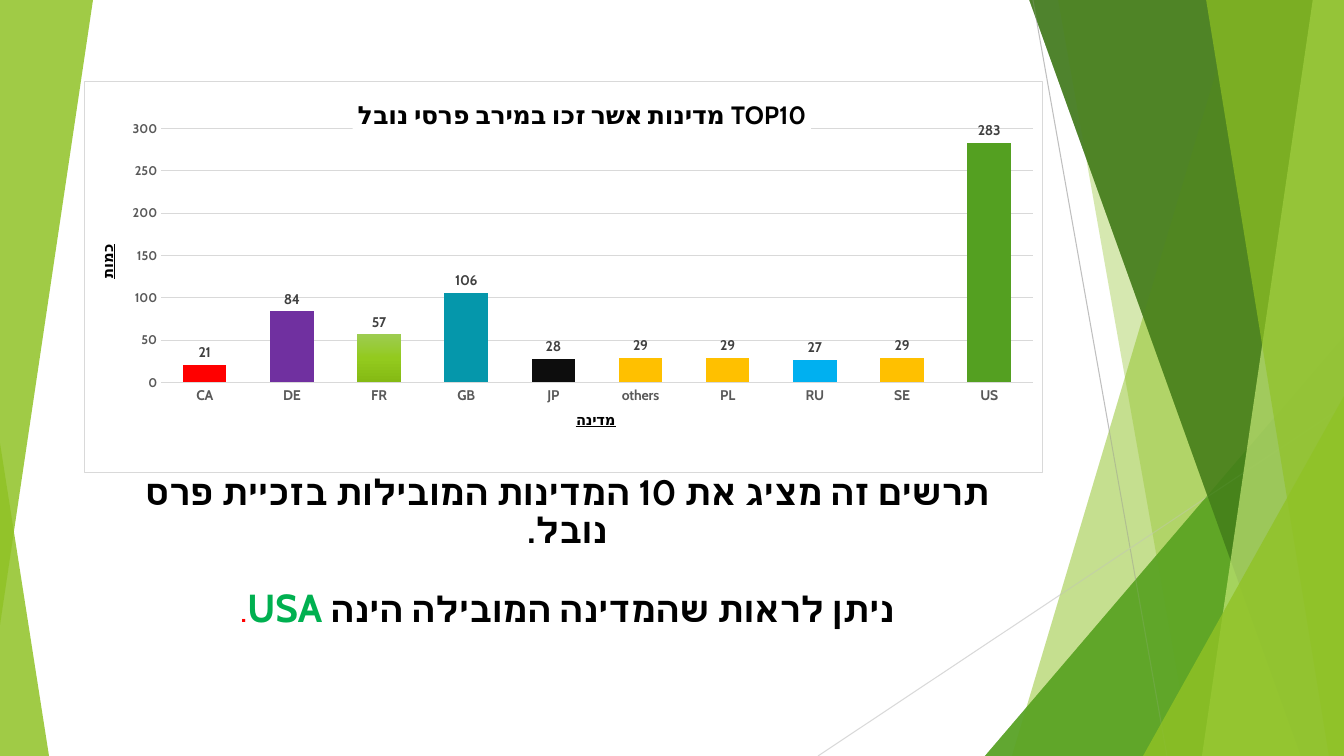
from dataclasses import dataclass

from lxml.etree import SubElement
from pptx import Presentation
from pptx.chart.data import CategoryChartData
from pptx.dml.color import RGBColor
from pptx.enum.chart import XL_CHART_TYPE as ChartType
from pptx.enum.chart import XL_LABEL_POSITION as LabelPosition
from pptx.enum.chart import XL_TICK_MARK as TickMark
from pptx.enum.shapes import MSO_CONNECTOR as Connector
from pptx.enum.shapes import MSO_SHAPE as Shape
from pptx.enum.text import MSO_ANCHOR as Anchor
from pptx.enum.text import MSO_AUTO_SIZE as AutoSize
from pptx.enum.text import PP_ALIGN as Align
from pptx.oxml import parse_xml
from pptx.oxml.ns import nsdecls, qn
from pptx.util import Pt

EMU_PER_PX = 914400 / 100.8
WIDTH, HEIGHT = 1344, 756


@dataclass(frozen=True)
class Theme:
    font: str = "Cabin"
    black: str = "000000"
    white: str = "FFFFFF"
    red: str = "FF0000"
    usa: str = "00B050"
    lime: str = "90C226"
    green: str = "54A021"
    forest: str = "3F7819"
    pale: str = "C0E474"
    amber: str = "FFC000"
    grid: str = "D9D9D9"
    line: str = "BFBFBF"
    axis_text: str = "595959"
    label_text: str = "404040"
    body_size: float = 25.2
    usa_size: float = 27.9
    chart_title_size: float = 18
    axis_title_size: float = 10.5
    label_size: float = 10
    value_size: float = 9


THEME = Theme()
BAR_GRADIENT = [(0, "9DCC51"), (50, "93CA1E"), (100, "85BA14")]

# Country, prizes, bar colour (None keeps the series gradient)
COUNTRIES = [
    ("CA", 21, THEME.red), ("DE", 84, "7030A0"), ("FR", 57, None),
    ("GB", 106, "0597AB"), ("JP", 28, "0D0D0D"), ("others", 29, THEME.amber),
    ("PL", 29, THEME.amber), ("RU", 27, "00B0F0"), ("SE", 29, THEME.amber),
    ("US", 283, THEME.green),
]


def px(length):
    return round(length * EMU_PER_PX)


def rgb(color):
    return RGBColor.from_string(color)


def style_font(font, size, color, bold=True, underline=None):
    font.name, font.size, font.bold = THEME.font, Pt(size), bold
    font.color.rgb = rgb(color)
    if underline is not None:
        font.underline = underline


def add_run(paragraph, text, size=THEME.body_size, color=THEME.black, bold=True, underline=None):
    run = paragraph.add_run()
    run.text = text
    style_font(run.font, size, color, bold, underline)
    SubElement(run.font._element, qn("a:cs"), typeface=THEME.font)


# Background decoration

def paint(shape, color, opacity):
    shape.shadow.inherit = False
    shape.line.fill.background()
    shape.fill.solid()
    shape.fill.fore_color.rgb = rgb(color)
    color_element = shape.element.spPr.find(".//" + qn("a:srgbClr"))
    SubElement(color_element, qn("a:alpha"), val=str(opacity * 1000))


def add_facet(slide, top_x, bottom_x, color, opacity):
    """A full-height panel with a slanted left edge, running to the right edge."""
    builder = slide.shapes.build_freeform(top_x, -1, scale=EMU_PER_PX)
    builder.add_line_segments([(WIDTH, -1), (WIDTH, HEIGHT), (bottom_x, HEIGHT)])
    paint(builder.convert_to_shape(), color, opacity)


def add_triangle(slide, box, apex, color, opacity, rotation=0):
    triangle = slide.shapes.add_shape(Shape.ISOSCELES_TRIANGLE, *map(px, box))
    triangle.adjustments[0] = apex
    triangle.rotation = rotation
    paint(triangle, color, opacity)


def add_line(slide, start, end, color):
    line = slide.shapes.add_connector(Connector.STRAIGHT, *map(px, start + end))
    line.line.color.rgb = rgb(color)
    line.line.width = Pt(0.75)
    SubElement(line.element.spPr, qn("a:effectLst"))


def add_facets(slide):
    add_facet(slide, 1238, 1012, THEME.lime, 30)
    add_facet(slide, 1058, 1192, THEME.lime, 20)
    add_triangle(slide, (985, 336, 359, 420), 1, THEME.green, 72)
    add_facet(slide, 1029, 1301, THEME.forest, 70)
    add_facet(slide, 1313, 1202, THEME.pale, 70)
    add_facet(slide, 1206, 1329, THEME.lime, 65)
    add_triangle(slide, (1143, 396, 201, 360), 1, THEME.lime, 80)


def add_background(slide):
    add_facets(slide)
    add_triangle(slide, (0, 443, 49, 313), 0, THEME.lime, 85)
    add_line(slide, (1033, 0), (1167, HEIGHT), THEME.line)
    add_line(slide, (WIDTH, 406), (818, HEIGHT), THEME.grid)
    add_facets(slide)
    add_triangle(slide, (0, 0, 93, 625), 1, THEME.lime, 85, rotation=180)


# Title text

def format_title(title):
    title.left, title.top, title.width, title.height = map(px, (111, 515, 913, 121))
    title.element.getparent().append(title.element)  # in front of the background
    frame = title.text_frame
    frame.word_wrap = True
    frame.auto_size = AutoSize.NONE
    frame.vertical_anchor = Anchor.BOTTOM
    finding, leader = frame.paragraphs[0], frame.add_paragraph()
    for paragraph in (finding, leader):
        paragraph.alignment = Align.CENTER
        paragraph.line_spacing = 0.9
        paragraph._p.get_or_add_pPr().set("rtl", "1")
    leader.space_before = Pt(27)
    add_run(finding, "תרשים זה מציג את 10 המדינות המובילות בזכיית פרס נובל.")
    add_run(leader, "ניתן לראות שהמדינה המובילה הינה ")
    add_run(leader, "USA", size=THEME.usa_size, color=THEME.usa)
    add_run(leader, ".", color=THEME.red, bold=False)


# Chart

def set_layout(element, **places):
    """Place a chart part by fractions of the chart area."""
    for old in element.findall(qn("c:layout")):
        element.remove(old)
    inner = '<c:layoutTarget val="inner"/>' if "w" in places else ""
    modes = "".join(f'<c:{key}Mode val="edge"/>' for key in "xy")
    values = "".join(f'<c:{key} val="{value}"/>' for key, value in places.items())
    layout = parse_xml(f'<c:layout {nsdecls("c")}><c:manualLayout>{inner}{modes}{values}'
                       '</c:manualLayout></c:layout>')
    element.insert(0 if element.find(qn("c:tx")) is None else 1, layout)


def write_chart_title(title, text, size, x, y, underline=None):
    add_run(title.text_frame.paragraphs[0], text, size=size, underline=underline)
    set_layout(title._element, x=x, y=y)


def style_axis(axis, title, size, x, y):
    axis.major_tick_mark = axis.minor_tick_mark = TickMark.NONE
    style_font(axis.tick_labels.font, size, THEME.axis_text)
    write_chart_title(axis.axis_title, title, THEME.axis_title_size, x, y, underline=True)


def fill_bars(series):
    stops = "".join(f'<a:gs pos="{position * 1000}"><a:srgbClr val="{color}"/></a:gs>'
                    for position, color in BAR_GRADIENT)
    series.format.fill.background()
    no_fill = series._element.find(qn("c:spPr")).find(qn("a:noFill"))
    no_fill.getparent().replace(no_fill, parse_xml(
        f'<a:gradFill {nsdecls("a")}><a:gsLst>{stops}</a:gsLst>'
        '<a:lin ang="5400000" scaled="0"/></a:gradFill>'))
    series.invert_if_negative = False
    for index, (_, _, color) in enumerate(COUNTRIES):
        if color:
            fill = series.points[index].format.fill
            fill.solid()
            fill.fore_color.rgb = rgb(color)


def add_prize_chart(slide):
    data = CategoryChartData()
    data.categories = [name for name, _, _ in COUNTRIES]
    data.add_series("Series 1", [prizes for _, prizes, _ in COUNTRIES])
    box = map(px, (84, 81, 959, 392))
    chart = slide.shapes.add_chart(ChartType.COLUMN_CLUSTERED, *box, data).chart
    chart.has_legend = False
    style_font(chart.font, THEME.label_size, THEME.black)

    # White area with a thin frame
    chart_element = chart._chartSpace.find(qn("c:chart"))
    chart_element.addnext(parse_xml(
        f'<c:spPr {nsdecls("c", "a")}><a:solidFill><a:srgbClr val="{THEME.white}"/></a:solidFill>'
        f'<a:ln w="9525"><a:solidFill><a:srgbClr val="{THEME.grid}"/></a:solidFill></a:ln></c:spPr>'))
    set_layout(chart_element.find(qn("c:plotArea")), x=0.08, y=0.12, w=0.91, h=0.65)

    write_chart_title(chart.chart_title, "מדינות אשר זכו במירב פרסי נובל TOP10",
                      THEME.chart_title_size, x=0.28, y=0.03)
    chart.chart_title.format.fill.solid()
    chart.chart_title.format.fill.fore_color.rgb = rgb(THEME.white)

    category, value = chart.category_axis, chart.value_axis
    style_axis(category, "מדינה", THEME.label_size, x=0.51, y=0.83)
    category.format.line.color.rgb = rgb(THEME.grid)
    category.format.line.width = Pt(1)
    style_axis(value, "כמות", THEME.value_size, x=0.01, y=0.41)
    value.axis_title.text_frame._txBody.bodyPr.set("rot", "-5400000")
    value.minimum_scale, value.maximum_scale, value.major_unit = 0, 300, 50
    value.format.line.fill.background()
    value.major_gridlines.format.line.color.rgb = rgb(THEME.grid)
    value.major_gridlines.format.line.width = Pt(0.75)

    plot = chart.plots[0]
    plot.gap_width, plot.overlap, plot.vary_by_categories = 100, -24, False
    plot.has_data_labels = True
    plot.data_labels.show_value = True
    plot.data_labels.position = LabelPosition.OUTSIDE_END
    style_font(plot.data_labels.font, THEME.label_size, THEME.label_text)
    fill_bars(plot.series[0])


def main():
    presentation = Presentation()
    presentation.slide_width, presentation.slide_height = px(WIDTH), px(HEIGHT)
    slide = presentation.slides.add_slide(presentation.slide_layouts[5])
    add_background(slide)
    format_title(slide.shapes.title)
    add_prize_chart(slide)
    presentation.save("out.pptx")


if __name__ == "__main__":
    main()
